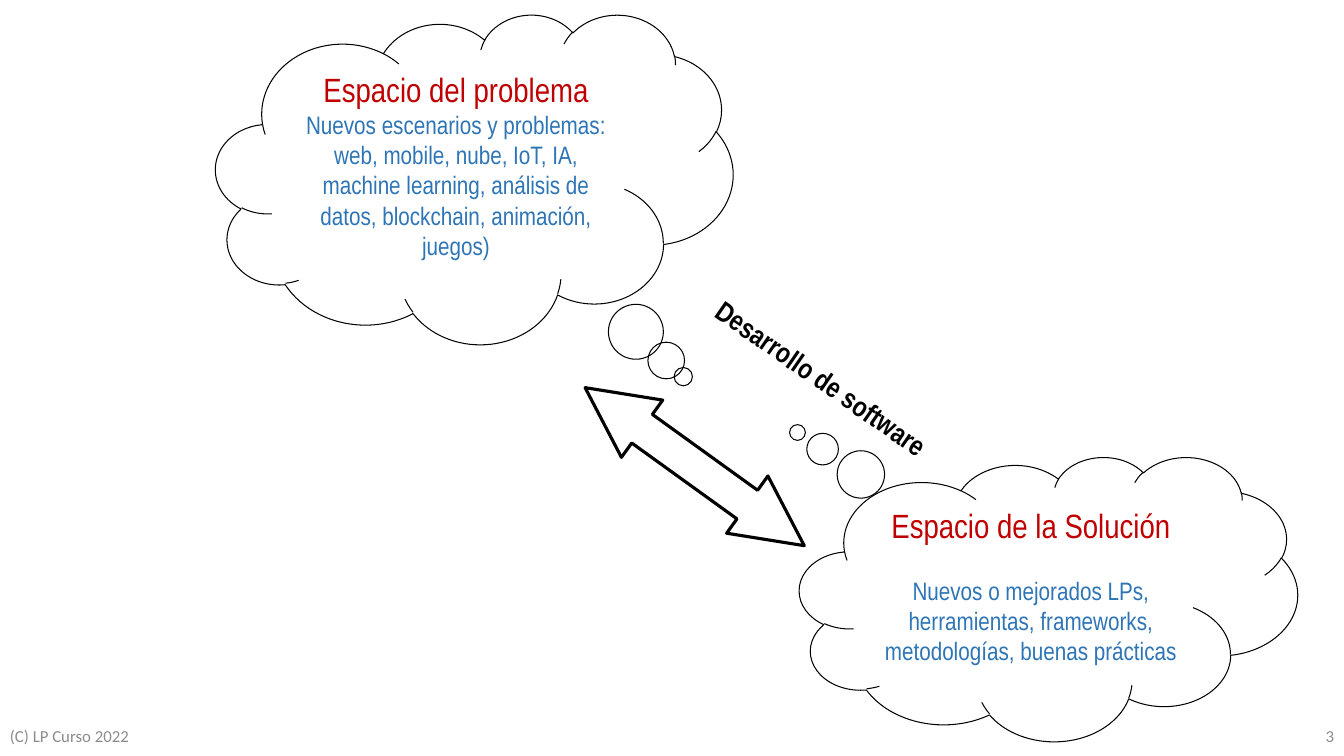
import pptx
import pptx.util
import pptx.dml.color
import pptx.enum.shapes
import pptx.enum.text

Inches, Pt = pptx.util.Inches, pptx.util.Pt
SHAPE = pptx.enum.shapes.MSO_SHAPE
ALIGN = pptx.enum.text.PP_ALIGN
ANCHOR = pptx.enum.text.MSO_ANCHOR

COLORS = {"outline": "000000", "heading": "C00000", "detail": "2E75B6", "footer": "8C8C8C"}
WIDTH, HEIGHT = 13.33, 7.5
NARROW = "Arial Narrow"


def color(name):
    return pptx.dml.color.RGBColor.from_string(COLORS[name])


def add_words(paragraph, words, size, ink, font=NARROW, align=ALIGN.LEFT, bold=False):
    paragraph.alignment = align
    run = paragraph.add_run()
    run.text = words
    run.font.size = Pt(size)
    run.font.name = font
    run.font.bold = bold
    run.font.color.rgb = color(ink)


def add_outline(slide, kind, box, adjustments, weight):
    """Unfilled preset shape with a black line."""
    outline = slide.shapes.add_shape(kind, *map(Inches, box))
    outline.shadow.inherit = False
    outline.fill.background()
    outline.line.color.rgb = color("outline")
    outline.line.width = Pt(weight)
    for index, value in enumerate(adjustments):
        outline.adjustments[index] = value
    return outline


def add_cloud(slide, box, tail, heading, detail, gap=0):
    """Thought cloud: a heading with its detail below."""
    cloud = add_outline(slide, SHAPE.CLOUD_CALLOUT, box, tail, 0.75)
    frame = cloud.text_frame
    frame.word_wrap = True
    frame.vertical_anchor = ANCHOR.TOP
    add_words(frame.paragraphs[0], heading, 24, "heading", align=ALIGN.CENTER)
    explanation = frame.add_paragraph()
    explanation.space_before = Pt(gap)
    add_words(explanation, detail, 18, "detail", align=ALIGN.CENTER)


def add_bridge(slide, arrow_box, label_box, label):
    """Slanted double arrow and the label that runs along it."""
    arrow = add_outline(slide, SHAPE.LEFT_RIGHT_ARROW, arrow_box, (0.5, 0.995), 2.25)
    arrow.rotation = 35.8
    caption = slide.shapes.add_textbox(*map(Inches, label_box))
    caption.rotation = 34.7
    caption.text_frame.word_wrap = False
    add_words(caption.text_frame.paragraphs[0], label, 20, "outline", bold=True)


def add_footer(slide, box, copyright_line, number):
    """Copyright at the left edge, slide number at the right edge."""
    left, top, width, height = box
    parts = ((left, 4.5, copyright_line, ALIGN.LEFT),
             (left + width - 3, 3, number, ALIGN.RIGHT))
    for start, span, words, align in parts:
        footer = slide.shapes.add_textbox(*map(Inches, (start, top, span, height)))
        footer.text_frame.word_wrap = True
        footer.text_frame.vertical_anchor = ANCHOR.MIDDLE
        add_words(footer.text_frame.paragraphs[0], words, 12, "footer", "Calibri", align)


def main():
    deck = pptx.Presentation()
    deck.slide_width, deck.slide_height = Inches(WIDTH), Inches(HEIGHT)
    slide = deck.slides.add_slide(deck.slide_layouts[6])

    add_footer(slide, (0, HEIGHT - 0.4, WIDTH, 0.4), "(C) LP Curso 2022", "3")
    # Problem and solution spaces
    add_cloud(slide, (2.14, 0.14, 5.13, 3.27), (0.404, 0.6), "Espacio del problema",
              "Nuevos escenarios y problemas: web, mobile, nube, IoT, IA, machine learning, "
              "análisis de datos, blockchain, animación, juegos)")
    add_cloud(slide, (7.93, 4.53, 4.94, 2.82), (-0.504, -0.585), "Espacio de la Solución",
              "Nuevos o mejorados LPs, herramientas, frameworks, metodologías, "
              "buenas prácticas", gap=21.5)
    # Software development links both spaces
    add_bridge(slide, (5.55, 4.28, 2.68, 0.7), (6.81, 3.56, 2.75, 0.43),
               "Desarrollo de software")
    deck.save("out.pptx")


if __name__ == "__main__":
    main()
